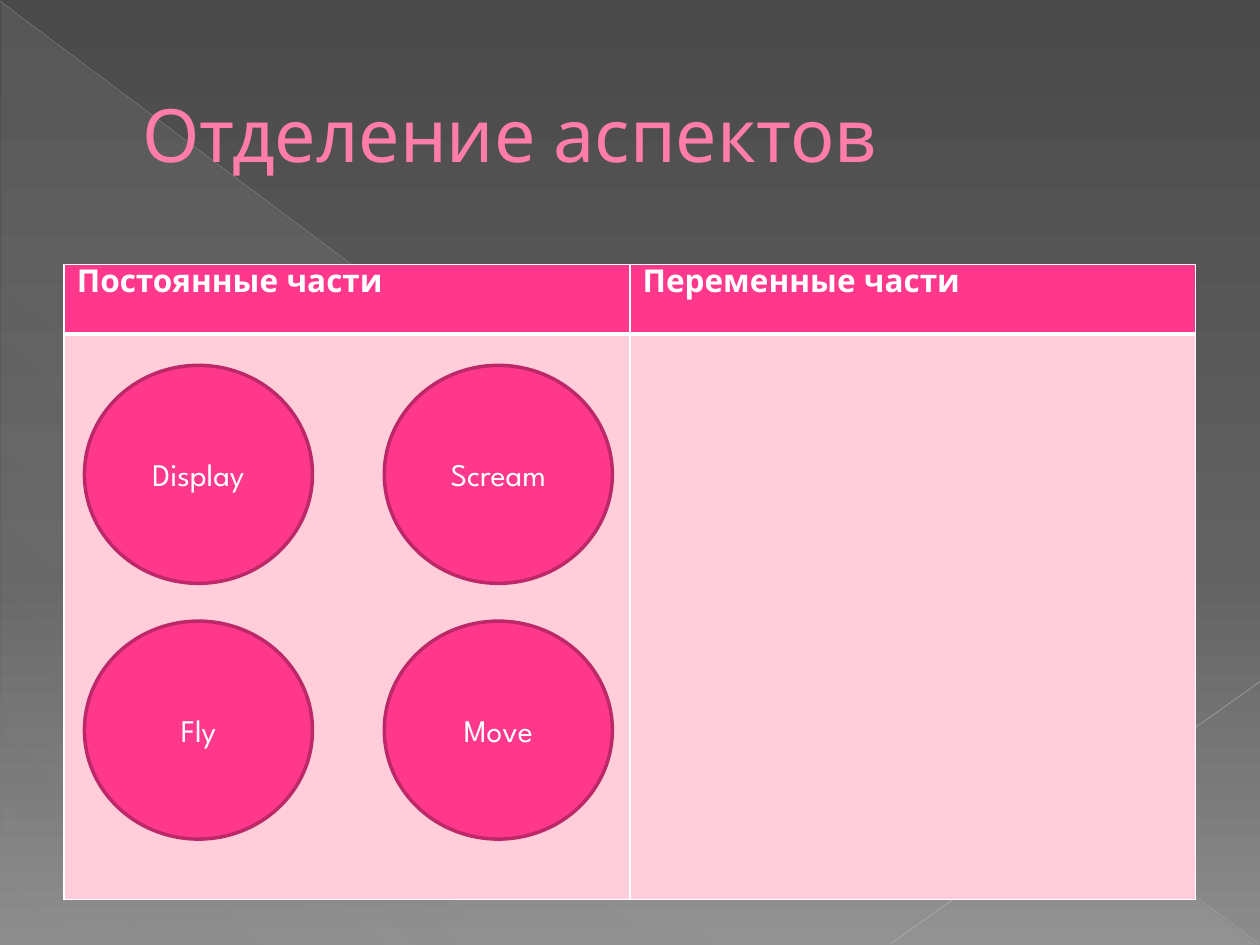
from lxml.etree import SubElement
from pptx import Presentation
from pptx.dml.color import RGBColor
from pptx.enum.shapes import MSO_CONNECTOR, MSO_SHAPE
from pptx.enum.text import MSO_ANCHOR, PP_ALIGN
from pptx.oxml.ns import qn
from pptx.util import Inches, Pt

FONT = "League Spartan"
WHITE = RGBColor(0xFF, 0xFF, 0xFF)
PINK = RGBColor(0xFF, 0x38, 0x8C)
PALE_PINK = RGBColor(0xFF, 0xCE, 0xDA)
TITLE_PINK = RGBColor(0xFF, 0x7D, 0xA7)
DARK_PINK = RGBColor(0xBD, 0x29, 0x68)


def set_gradient(fill, parent, stops, angle):
    """Fill with (position, colour, opacity) stops, angle clockwise in degrees."""
    fill.gradient()
    gradient = parent.find(".//" + qn("a:gradFill"))
    for child in list(gradient):
        gradient.remove(child)
    stop_list = SubElement(gradient, qn("a:gsLst"))
    for position, color, opacity in stops:
        stop = SubElement(stop_list, qn("a:gs"), pos=str(position * 1000))
        rgb = SubElement(stop, qn("a:srgbClr"), val=str(color))
        if opacity < 100:
            SubElement(rgb, qn("a:alpha"), val=str(opacity * 1000))
    SubElement(gradient, qn("a:lin"), ang=str(angle * 60000), scaled="0")


def set_font(paragraph, size, color, bold=False):
    """Style a whole paragraph."""
    font = paragraph.font
    font.name, font.size, font.bold = FONT, Pt(size), bold
    font.color.rgb = color


presentation = Presentation()
presentation.slide_width = Inches(10)
presentation.slide_height = Inches(7.5)
slide = presentation.slides.add_slide(presentation.slide_layouts[6])
shapes = slide.shapes

# Background with the diagonal decoration
set_gradient(slide.background.fill, slide.element, [
    (0, RGBColor(0x4A, 0x4A, 0x4A), 100),
    (60, RGBColor(0x62, 0x62, 0x62), 100),
    (100, RGBColor(0x8C, 0x8C, 0x8C), 100),
], 90)

triangle = shapes.add_shape(MSO_SHAPE.RIGHT_TRIANGLE, Inches(0.01), Inches(0.02),
                            Inches(9.98), Inches(7.48))
triangle.shadow.inherit = False
triangle.line.fill.background()
LIGHT_GREY = RGBColor(0xD2, 0xD2, 0xD2)
set_gradient(triangle.fill, triangle.element,
             [(0, LIGHT_GREY, 10), (70, LIGHT_GREY, 8), (100, LIGHT_GREY, 1)], 133)

diagonals = [
    (0, 0.01, 9.99, 7.49, RGBColor(0xBF, 0xBF, 0xBF), 0.39, 35),
    (10, 5.41, 7.07, 7.49, RGBColor(0xC6, 0xC6, 0xC6), 0.47, 45),
]
for x1, y1, x2, y2, color, width, opacity in diagonals:
    diagonal = shapes.add_connector(MSO_CONNECTOR.STRAIGHT, Inches(x1), Inches(y1),
                                    Inches(x2), Inches(y2))
    diagonal.line.color.rgb = color
    diagonal.line.width = Pt(width)
    properties = diagonal.element.spPr
    SubElement(properties.find(".//" + qn("a:srgbClr")), qn("a:alpha"),
               val=str(opacity * 1000))
    SubElement(properties, qn("a:effectLst"))

# Table of constant and variable parts
table = shapes.add_table(2, 2, Inches(0.51), Inches(2.1), Inches(8.98), Inches(5.04)).table
table.horz_banding = False
table.rows[0].height = Inches(0.55)
table.rows[1].height = Inches(4.49)
headings = ["Постоянные части", "Переменные части"]
for column, heading in enumerate(headings):
    table.cell(0, column).text = heading
    set_font(table.cell(0, column).text_frame.paragraphs[0], 18, WHITE, bold=True)
    for row, color in enumerate([PINK, PALE_PINK]):
        cell = table.cell(row, column)
        cell.fill.solid()
        cell.fill.fore_color.rgb = color
        cell_properties = cell._tc.get_or_add_tcPr()
        top, bottom = [(1, 3), (3, 1)][row]
        edges = [("a:lnL", 1), ("a:lnR", 1), ("a:lnT", top), ("a:lnB", bottom)]
        for index, (edge, width) in enumerate(edges):
            border = SubElement(cell_properties, qn(edge), w=str(Pt(width)))
            SubElement(SubElement(border, qn("a:solidFill")), qn("a:srgbClr"), val=str(WHITE))
            cell_properties.insert(index, border)

# Title
title = shapes.add_textbox(Inches(0.5), Inches(0.29), Inches(9), Inches(1.53))
title.text_frame.word_wrap = True
title.text_frame.vertical_anchor = MSO_ANCHOR.MIDDLE
paragraph = title.text_frame.paragraphs[0]
paragraph.text = "Отделение аспектов"
set_font(paragraph, 42, TITLE_PINK)
paragraph_properties = paragraph._p.get_or_add_pPr()
paragraph_properties.set("marL", str(Inches(0.53)))
paragraph_properties.set("indent", "0")

# Circles in a two by two grid
methods = [["Display", "Scream"], ["Fly", "Move"]]
for row, names in enumerate(methods):
    for column, name in enumerate(names):
        circle = shapes.add_shape(MSO_SHAPE.FLOWCHART_CONNECTOR,
                                  Inches(0.67 + 2.38 * column), Inches(2.9 + 2.03 * row),
                                  Inches(1.81), Inches(1.73))
        circle.shadow.inherit = False
        circle.fill.solid()
        circle.fill.fore_color.rgb = PINK
        circle.line.color.rgb = DARK_PINK
        circle.line.width = Pt(2)
        circle.text_frame.vertical_anchor = MSO_ANCHOR.MIDDLE
        paragraph = circle.text_frame.paragraphs[0]
        paragraph.text = name
        paragraph.alignment = PP_ALIGN.CENTER
        set_font(paragraph, 18, WHITE)

presentation.save("out.pptx")
